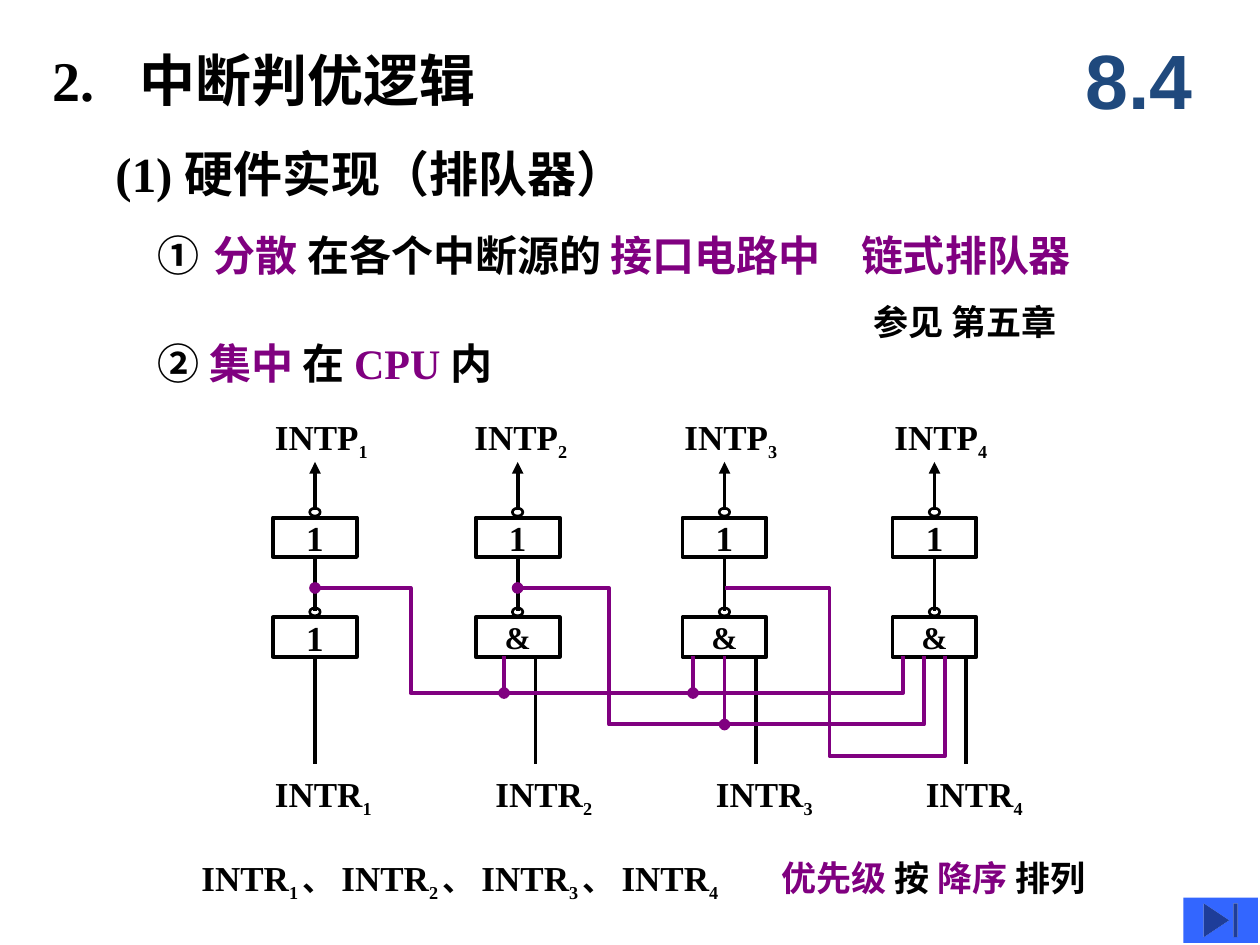
"""Build the slide on interrupt priority logic with its queue circuit."""
from lxml.etree import SubElement
from pptx import Presentation
from pptx.dml.color import RGBColor
from pptx.enum.shapes import MSO_CONNECTOR, MSO_SHAPE
from pptx.enum.text import MSO_ANCHOR, PP_ALIGN
from pptx.oxml.ns import qn
from pptx.util import Inches, Pt

BLACK = RGBColor(0x00, 0x00, 0x00)
PURPLE = RGBColor(0x80, 0x00, 0x80)
NAVY = RGBColor(0x1F, 0x49, 0x7D)
BLUE = RGBColor(0x33, 0x66, 0xFF)

deck = Presentation()
deck.slide_width, deck.slide_height = Inches(10), Inches(7.5)
slide = deck.slides.add_slide(deck.slide_layouts[5])
shapes = slide.shapes
COL, ROW = deck.slide_width / 120, deck.slide_height / 90


def write(shape, runs, pad=0, anchor=MSO_ANCHOR.MIDDLE, align=PP_ALIGN.LEFT,
          face="Times New Roman", tab=None):
    frame = shape.text_frame
    frame.word_wrap = True
    frame.vertical_anchor = anchor
    frame.margin_left = frame.margin_right = Inches(pad)
    para = frame.paragraphs[0]
    para.alignment = align
    if tab:
        stops = SubElement(para._p.get_or_add_pPr(), qn("a:tabLst"))
        SubElement(stops, qn("a:tab"), pos=str(round(tab * COL)), algn="l")
    for text, size, color, *sub in runs:
        run = para.add_run()
        run.text = text
        font = run.font
        font.name, font.size, font.bold = face, Pt(size), True
        font.color.rgb = color
        if sub:
            run._r.get_or_add_rPr().set("baseline", "-25000")


def wire(points, color=BLACK, **ends):
    spots = [(round(x * COL), round(y * ROW)) for x, y in points]
    if len(spots) == 2:
        path = shapes.add_connector(MSO_CONNECTOR.STRAIGHT, *spots[0], *spots[1])
        SubElement(path._element.spPr, qn("a:effectLst"))
    else:
        pen = shapes.build_freeform(*spots[0])
        pen.add_line_segments(spots[1:], close=False)
        path = pen.convert_to_shape()
        path.fill.background()
        path.shadow.inherit = False
    path.line.color.rgb = color
    path.line.width = Pt(2.25)
    for end, kind in ends.items():
        SubElement(path.line._get_or_add_ln(), qn(f"a:{end}"), type=kind)


title = shapes.title
title.left, title.top = round(101 * COL), round(2 * ROW)
title.width, title.height = round(15 * COL), round(11 * ROW)
write(title, [("8.4", 44, NAVY)], pad=0.1, align=PP_ALIGN.CENTER, face="Arial")

heads = [
    (5, 4, 51, 8.3, [("2.\t中断判优逻辑", 32, BLACK)]),
    (11, 13, 69, None, [("(1) 硬件实现（排队器）", 28, BLACK)]),
    (15, 20, 99, 67, [("①", 24, BLACK), (" ", 36, BLACK), ("分散 ", 24, PURPLE),
                      ("在各个中断源的 ", 24, BLACK),
                      ("接口电路中\t链式排队器", 24, PURPLE)]),
    (15, 31, 69, None, [("② ", 24, BLACK), ("集中 ", 24, PURPLE), ("在 ", 24, BLACK),
                        ("CPU ", 24, PURPLE), ("内", 24, BLACK)]),
]
for x, y, wide, tab, runs in heads:
    box = shapes.add_textbox(round(x * COL), round(y * ROW), round(wide * COL), round(7 * ROW))
    write(box, runs, tab=tab)

order = []
for num in "1234":
    order += [("INTR", 20, BLACK), (num if num == "4" else num + " ", 18, BLACK, True)]
    if num != "4":
        order.append(("、 ", 18, BLACK))
order += [("\t", 20, BLACK), ("优先级 ", 20, PURPLE), ("按 ", 20, BLACK),
          ("降序 ", 20, PURPLE), ("排列", 20, BLACK)]

notes = [(82, 28, 31, None, [("参见 第五章", 20, BLACK)]), (18, 81, 93, 55.2, order)]
for name, y, wide, lefts in (("INTP", 39, 14, (25, 44, 64, 84)),
                             ("INTR", 73, 20, (25, 46, 67, 87))):
    for num, x in enumerate(lefts, 1):
        notes.append((x, y, wide, None, [(name, 20, BLACK), (str(num), 18, BLACK, True)]))
for x, y, wide, tab, runs in notes:
    box = shapes.add_textbox(round(x * COL), round(y * ROW), round(wide * COL), round(5.6 * ROW))
    write(box, runs, pad=0.1, anchor=MSO_ANCHOR.TOP, tab=tab)

for mid, feed, sign, size in ((30, 30, "1", 20), (49.3, 51, "&", 18),
                              (69, 72, "&", 18), (89, 92, "&", 18)):
    for y, mark, big in ((49.3, "1", 20), (58.8, sign, size)):
        gate = shapes.add_shape(MSO_SHAPE.RECTANGLE, round((mid - 4) * COL), round(y * ROW),
                                round(8 * COL), round(3.75 * ROW))
        ring = shapes.add_shape(MSO_SHAPE.OVAL, round((mid - 0.5) * COL), round((y - 0.9) * ROW),
                                round(COL), round(0.75 * ROW))
        for part, thick in ((gate, 2.25), (ring, 1.5)):
            part.shadow.inherit = False
            part.fill.background()
            part.line.color.rgb = BLACK
            part.line.width = Pt(thick)
        gate.text_frame.margin_top = gate.text_frame.margin_bottom = 0
        write(gate, [(mark, big, BLACK)], align=PP_ALIGN.CENTER)
    wire([(mid, 53), (mid, 58.2)])
    wire([(mid, 48.6), (mid, 44)], tailEnd="triangle")
    wire([(feed, 62.5), (feed, 72.8)])

for x, turn, low, end, ends in ((30, 39.1, 66, 86, {"headEnd": "oval"}),
                                (49.3, 58, 69, 88, {"headEnd": "oval"}),
                                (69, 79, 72, 90, {})):
    wire([(x, 56), (turn, 56), (turn, low), (end, low), (end, 62.5)], PURPLE, **ends)
for x, low in ((48, 66), (66, 66), (69, 69)):
    wire([(x, 62.5), (x, low)], PURPLE, tailEnd="oval")

skip = shapes.add_shape(MSO_SHAPE.ACTION_BUTTON_END, round(112.7 * COL), round(85.5 * ROW),
                        round(7.1 * COL), round(4.3 * ROW))
skip.shadow.inherit = False
skip.fill.solid()
skip.fill.fore_color.rgb = BLUE
skip.line.fill.background()

deck.save("out.pptx")
